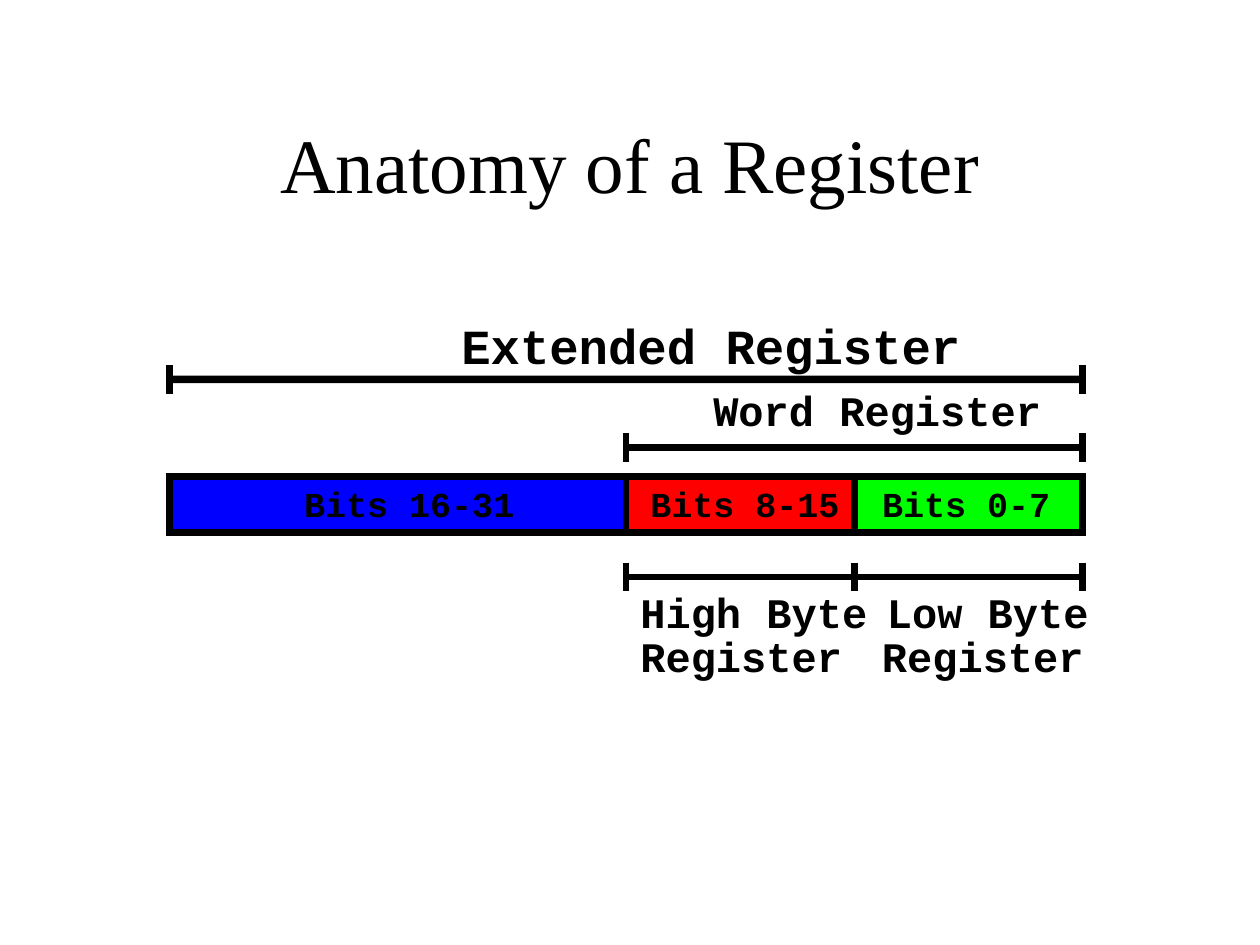
from itertools import pairwise

from lxml.etree import SubElement
from pptx import Presentation
from pptx.dml.color import RGBColor
from pptx.enum.shapes import MSO_CONNECTOR, MSO_SHAPE
from pptx.enum.text import MSO_ANCHOR, MSO_AUTO_SIZE, PP_ALIGN
from pptx.oxml.ns import qn
from pptx.util import Cm, Pt

BLACK = RGBColor(0, 0, 0)
BLUE = RGBColor(0, 0, 255)
RED = RGBColor(255, 0, 0)
GREEN = RGBColor(0, 255, 0)

TITLE = "Anatomy of a Register"
FIELDS = [(32, 0, BLUE), (16, 8, RED), (8, 0, GREEN)]
EXTENDED_Y, EXTENDED_BITS = 7.65, (32, 0)
SCALES = [(9.02, (16, 0)), (11.63, (16, 8, 0))]
LABELS = [
    ("Bits 16-31", 6.13, 9.73, 20),
    ("Bits 8-15", 13.11, 9.73, 20),
    ("Bits 0-7", 17.78, 9.73, 20),
    ("Extended Register", 9.3, 6.35, 28),
    ("Word Register", 14.38, 7.75, 24),
    ("High Byte", 12.91, 11.82, 24),
    ("Register", 12.91, 12.71, 24),
    ("Low Byte", 17.88, 11.82, 24),
    ("Register", 17.78, 12.71, 24),
]

REGISTER_RIGHT, BIT_WIDTH = 21.82, 18.4 / 32
REGISTER_TOP, REGISTER_HEIGHT = 9.6, 1.14
EXTENDED_THICKNESS = 0.15
TICK = 0.58
STROKE = Pt(3.88)
CM_PER_POINT = 2.54 / 72
LABEL_SLACK = 0.08


def bit_x(bit):
    return REGISTER_RIGHT - bit * BIT_WIDTH


def add_bar(slide, high, low, top, height, colour):
    bar = slide.shapes.add_shape(
        MSO_SHAPE.RECTANGLE, Cm(bit_x(high)), Cm(top),
        Cm((high - low) * BIT_WIDTH), Cm(height))
    bar.shadow.inherit = False
    bar.fill.solid()
    bar.fill.fore_color.rgb = colour
    return bar


def add_field(slide, high, low, colour):
    field = add_bar(slide, high, low, REGISTER_TOP, REGISTER_HEIGHT, colour)
    field.line.color.rgb = BLACK
    field.line.width = STROKE
    SubElement(field.line._get_or_add_ln(), qn("a:miter"), lim="800000")


def add_line(slide, x1, y1, x2, y2):
    line = slide.shapes.add_connector(
        MSO_CONNECTOR.STRAIGHT, Cm(x1), Cm(y1), Cm(x2), Cm(y2))
    line.line.color.rgb = BLACK
    line.line.width = STROKE
    SubElement(line._element.spPr, qn("a:effectLst"))


def add_ticks(slide, y, bits):
    for bit in bits:
        add_line(slide, bit_x(bit), y - TICK / 2, bit_x(bit), y + TICK / 2)


def add_extended_scale(slide):
    bar = add_bar(slide, *EXTENDED_BITS, EXTENDED_Y - EXTENDED_THICKNESS / 2,
                  EXTENDED_THICKNESS, BLACK)
    bar.line.fill.background()
    add_ticks(slide, EXTENDED_Y, EXTENDED_BITS)


def add_scale(slide, y, bits):
    for high, low in pairwise(bits):
        add_line(slide, bit_x(high), y, bit_x(low), y)
    add_ticks(slide, y, bits)


def add_run(paragraph, text, font_name, size, bold):
    run = paragraph.add_run()
    run.text = text
    run.font.name = font_name
    run.font.size = Pt(size)
    run.font.bold = bold
    run.font.color.rgb = BLACK


def add_label(slide, text, left, top, size):
    width = len(text) * size * 0.6 * CM_PER_POINT + LABEL_SLACK
    height = size * 1.2 * CM_PER_POINT
    frame = slide.shapes.add_textbox(
        Cm(left), Cm(top), Cm(width), Cm(height)).text_frame
    frame.margin_left = frame.margin_right = 0
    frame.margin_top = frame.margin_bottom = 0
    frame.word_wrap = False
    frame.auto_size = MSO_AUTO_SIZE.SHAPE_TO_FIT_TEXT
    add_run(frame.paragraphs[0], text, "Courier New", size, True)


def add_title(slide):
    frame = slide.shapes.add_textbox(
        Cm(1.9), Cm(1.7), Cm(21.6), Cm(3.18)).text_frame
    frame.word_wrap = True
    frame.vertical_anchor = MSO_ANCHOR.MIDDLE
    frame.paragraphs[0].alignment = PP_ALIGN.CENTER
    add_run(frame.paragraphs[0], TITLE, "Times New Roman", 44, False)


def main():
    deck = Presentation()
    deck.slide_width, deck.slide_height = Cm(25.4), Cm(19.05)
    slide = deck.slides.add_slide(deck.slide_layouts[6])
    for field in FIELDS:
        add_field(slide, *field)
    add_extended_scale(slide)
    for scale in SCALES:
        add_scale(slide, *scale)
    for label in LABELS:
        add_label(slide, *label)
    add_title(slide)
    deck.save("out.pptx")


if __name__ == "__main__":
    main()
